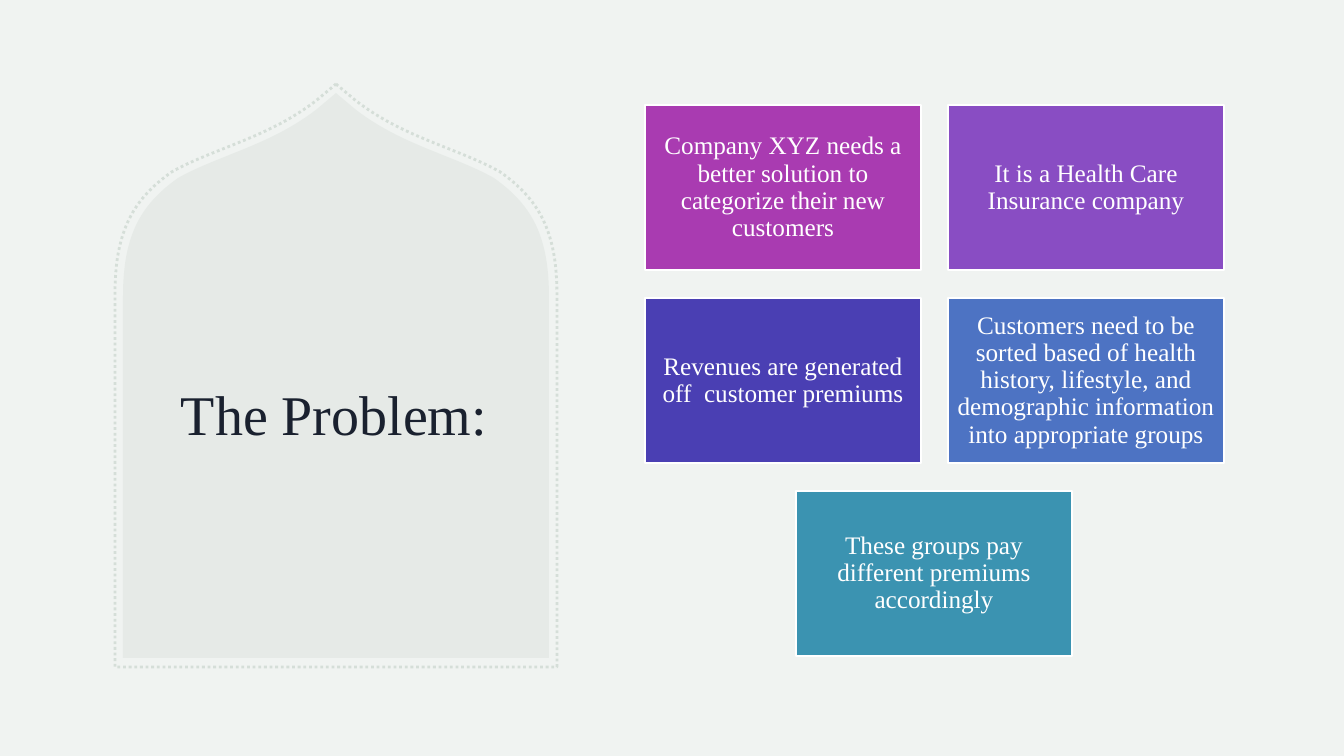
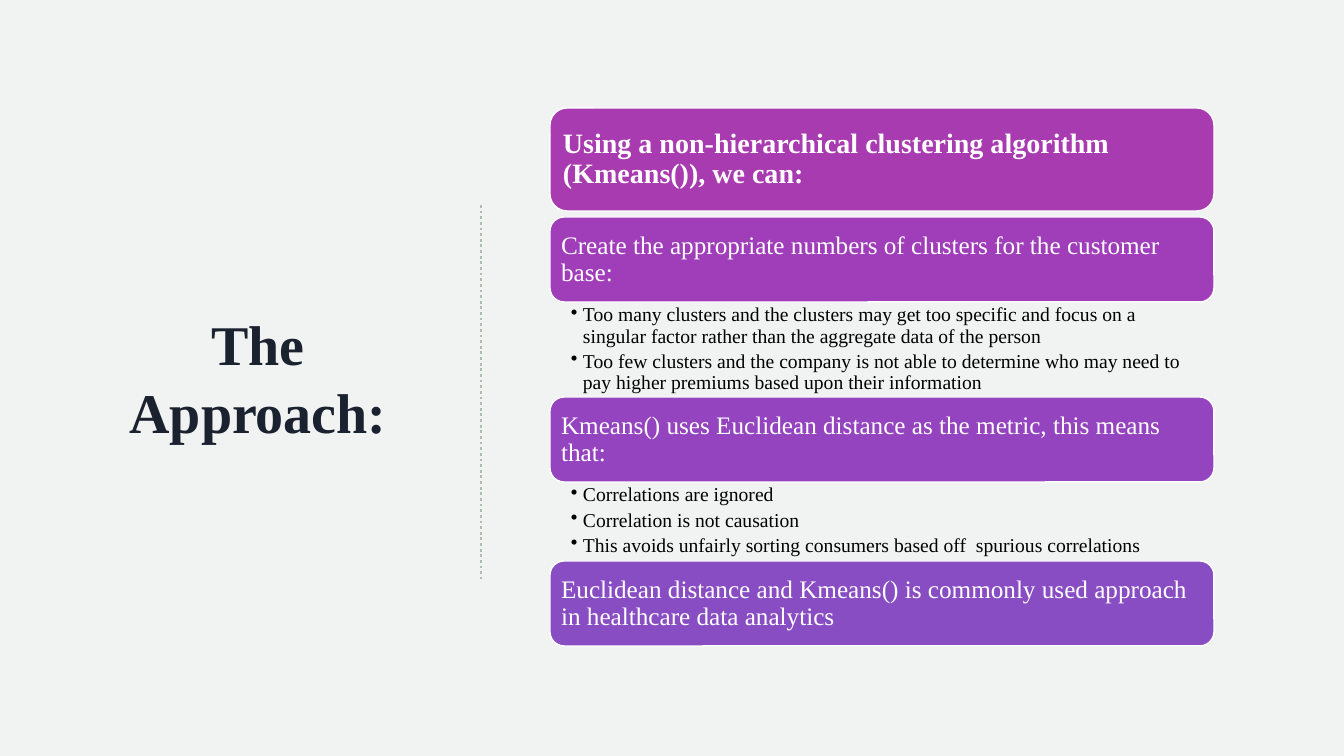
"""Build two slides: the customer grouping problem and the clustering approach."""
from dataclasses import dataclass
from typing import NamedTuple

from lxml import etree
from pptx import Presentation
from pptx.dml.color import RGBColor
from pptx.enum.dml import MSO_LINE
from pptx.enum.shapes import MSO_CONNECTOR, MSO_SHAPE
from pptx.enum.text import MSO_ANCHOR, MSO_AUTO_SIZE, PP_ALIGN
from pptx.oxml.ns import qn
from pptx.util import Emu, Pt

CENTER, LEFT = PP_ALIGN.CENTER, PP_ALIGN.LEFT
MIDDLE, TOP = MSO_ANCHOR.MIDDLE, MSO_ANCHOR.TOP
NO_FIT = MSO_AUTO_SIZE.NONE
RECT, ROUND_RECT = MSO_SHAPE.RECTANGLE, MSO_SHAPE.ROUNDED_RECTANGLE
STRAIGHT = MSO_CONNECTOR.STRAIGHT
DOTS = MSO_LINE.ROUND_DOT

SLIDE_W, SLIDE_H = 1344, 756
EMU_PER_PX = 12192000 / SLIDE_W
FONT = "Times New Roman"
COLORS = {
    "background": "F0F3F1",
    "sage": "ADBDB2",
    "pale_sage": "D5DED8",
    "ink": "1A212F",
    "black": "000000",
    "white": "FFFFFF",
    "magenta": "A93BB1",
    "orchid": "A03EBA",
    "plum": "9544C0",
    "violet": "894DC3",
    "indigo": "4A3FB3",
    "blue": "4D73C3",
    "teal": "3B93B1",
}


class Box(NamedTuple):
    """A rectangle in px."""
    left: int
    top: int
    width: int
    height: int


class Insets(NamedTuple):
    """Text margins in px."""
    left: int
    top: int
    right: int
    bottom: int


@dataclass(frozen=True)
class Card:
    """A coloured box with one statement."""
    text: str
    color: str


@dataclass(frozen=True)
class Panel:
    """A full-width bar and the bullets listed below it."""
    text: str
    color: str
    top: int
    height: int = 85
    size: int = 18
    bold: bool = False
    inset: int = 7
    bullets: tuple[str, ...] = ()
    list_height: int = 0


CARDS = (
    Card("Company XYZ needs a better solution to categorize their new customers", "magenta"),
    Card("It is a Health Care Insurance company", "violet"),
    Card("Revenues are generated off  customer premiums", "indigo"),
    Card("Customers need to be sorted based of health history, lifestyle, "
         "and demographic information into appropriate groups", "blue"),
    Card("These groups pay different premiums accordingly", "teal"),
)
CARD_GRID = Box(645, 105, 276, 165)
CARD_GAP = 27
CARD_COLUMNS = 2

PANELS = (
    Panel("Using a non-hierarchical clustering algorithm (Kmeans()), we can:", "magenta",
          108, height=103, size=20, bold=True, inset=8),
    Panel("Create the appropriate numbers of clusters for the customer base:", "orchid", 217,
          bullets=(
              "Too many clusters and the clusters may get too specific and focus on a "
              "singular factor rather than the aggregate data of the person",
              "Too few clusters and the company is not able to determine who may need to "
              "pay higher premiums based upon their information",
          ), list_height=95),
    Panel("Kmeans() uses Euclidean distance as the metric, this means that:", "plum", 397,
          bullets=(
              "Correlations are ignored",
              "Correlation is not causation",
              "This avoids unfairly sorting consumers based off  spurious correlations",
          ), list_height=78),
    Panel("Euclidean distance and Kmeans() is commonly used approach in healthcare data analytics",
          "violet", 561),
)
PANEL_LEFT, PANEL_WIDTH = 550, 664
LIST_INSETS = Insets(21, 3, 14, 3)
BULLET_INDENT = 12

ARCH_HALF_WIDTH, ARCH_HEIGHT = 213, 565
ARCH_SHOULDER = (19, 16)
ARCH_CURVES = (
    ((65, 52), (117, 62), (158, 85)),
    ((196, 112), (213, 143), (213, 204)),
)
CURVE_STEPS = 24


def px(value: float) -> Emu:
    """Turn px into EMU."""
    return Emu(round(value * EMU_PER_PX))


def rgb(name: str) -> RGBColor:
    """Look up a palette colour."""
    return RGBColor.from_string(COLORS[name])


def place(box: Box) -> tuple[Emu, ...]:
    """Turn a box into EMU lengths."""
    return tuple(px(v) for v in box)


def style_line(line, color: str, width: float, dash=None) -> None:
    """Set the colour, width and dash of a line."""
    line.color.rgb = rgb(color)
    line.width = Pt(width)
    if dash is not None:
        line.dash_style = dash


def style_frame(tf, insets: Insets, anchor) -> None:
    """Set wrapping, margins and anchor of a text frame."""
    tf.word_wrap = True
    tf.auto_size = NO_FIT
    tf.vertical_anchor = anchor
    tf.margin_left, tf.margin_top, tf.margin_right, tf.margin_bottom = place(insets)


def style_paragraph(p, size: int, color: str, align, bold: bool = False) -> None:
    """Set the font and alignment of a paragraph."""
    p.alignment = align
    p.font.name = FONT
    p.font.size = Pt(size)
    p.font.bold = bold
    p.font.color.rgb = rgb(color)


def add_title(slide, text: str, box: Box, bold: bool = False) -> None:
    """Place the title in front of the shapes drawn so far."""
    title = slide.shapes.title
    title.left, title.top, title.width, title.height = place(box)
    tf = title.text_frame
    tf.text = text
    style_frame(tf, Insets(10, 5, 10, 5), MIDDLE)
    style_paragraph(tf.paragraphs[0], 40, "ink", CENTER, bold)
    slide.shapes.element.append(title.element)


def add_block(slide, kind, box: Box, text: str, color: str, size: int = 18,
              align=CENTER, bold: bool = False, inset: int = 7) -> None:
    """Draw a filled, white-edged shape with text."""
    sp = slide.shapes.add_shape(kind, *place(box))
    sp.shadow.inherit = False
    sp.fill.solid()
    sp.fill.fore_color.rgb = rgb(color)
    style_line(sp.line, "white", 1)
    tf = sp.text_frame
    tf.text = text
    style_frame(tf, Insets(*[inset] * 4), MIDDLE)
    p = tf.paragraphs[0]
    style_paragraph(p, size, "white", align, bold)
    p.line_spacing = 0.9


def add_bullets(slide, box: Box, items: tuple[str, ...]) -> None:
    """Draw a bulleted list."""
    tf = slide.shapes.add_textbox(*place(box)).text_frame
    style_frame(tf, LIST_INSETS, TOP)
    tf.text = "\n".join(items)
    for p in tf.paragraphs:
        style_paragraph(p, 14, "black", LEFT)
        p.level = 1
        p.line_spacing = 0.9
        p.space_after = Pt(3)
        props = p._p.get_or_add_pPr()
        props.set("marL", str(px(BULLET_INDENT)))
        props.set("indent", str(-px(BULLET_INDENT)))
        bullet = etree.SubElement(props, qn("a:buChar"), char="•")
        props.find(qn("a:defRPr")).addprevious(bullet)


def bezier(start, c1, c2, end) -> list[tuple[float, float]]:
    """List the points of a cubic curve after its start."""
    points = []
    for step in range(1, CURVE_STEPS + 1):
        t = step / CURVE_STEPS
        u = 1 - t
        weights = (u ** 3, 3 * u * u * t, 3 * u * t * t, t ** 3)
        corners = (start, c1, c2, end)
        points.append(tuple(sum(w * c[i] for w, c in zip(weights, corners)) for i in (0, 1)))
    return points


def add_arch(slide, box: Box):
    """Draw a symmetric pointed arch that fills a box."""
    half = [ARCH_SHOULDER]
    for curve in ARCH_CURVES:
        half += bezier(half[-1], *curve)
    half.append((ARCH_HALF_WIDTH, ARCH_HEIGHT))
    outline = [(0, 0)] + half + [(-x, y) for x, y in reversed(half)]
    middle = box.left + box.width / 2
    x_scale = box.width / (2 * ARCH_HALF_WIDTH)
    y_scale = box.height / ARCH_HEIGHT
    points = [(px(middle + x * x_scale), px(box.top + y * y_scale)) for x, y in outline]
    builder = slide.shapes.build_freeform(*points[0])
    builder.add_line_segments(points[1:], close=True)
    sp = builder.convert_to_shape()
    sp.shadow.inherit = False
    return sp


def add_slide(prs):
    """Add a title-only slide with the shared background."""
    slide = prs.slides.add_slide(prs.slide_layouts[5])
    fill = slide.background.fill
    fill.solid()
    fill.fore_color.rgb = rgb("background")
    return slide


def build_problem(prs) -> None:
    """Build the slide with the arch and the card grid."""
    slide = add_slide(prs)
    arch = add_arch(slide, Box(123, 93, 426, 565))
    arch.fill.solid()
    arch.fill.fore_color.rgb = rgb("sage")
    color = arch.element.spPr.find(f"{qn('a:solidFill')}/{qn('a:srgbClr')}")
    etree.SubElement(color, qn("a:alpha"), val="15000")
    arch.line.fill.background()
    border = add_arch(slide, Box(115, 84, 442, 583))
    border.fill.background()
    style_line(border.line, "pale_sage", 2, DOTS)
    add_title(slide, "The Problem:", Box(162, 254, 344, 318))

    left, top, width, height = CARD_GRID
    for i, card in enumerate(CARDS):
        row, column = divmod(i, CARD_COLUMNS)
        in_row = min(CARD_COLUMNS, len(CARDS) - row * CARD_COLUMNS)
        shift = column + (CARD_COLUMNS - in_row) / 2
        box = Box(round(left + shift * (width + CARD_GAP)),
                  top + row * (height + CARD_GAP + 1), width, height)
        add_block(slide, RECT, box, card.text, card.color)


def build_approach(prs) -> None:
    """Build the slide with the divider and the panels."""
    slide = add_slide(prs)
    add_title(slide, "The Approach:", Box(105, 174, 306, 406), bold=True)
    divider = slide.shapes.add_connector(STRAIGHT, px(481), px(205), px(481), px(579))
    style_line(divider.line, "sage", 2, DOTS)
    etree.SubElement(divider.element.spPr, qn("a:effectLst"))
    for panel in PANELS:
        box = Box(PANEL_LEFT, panel.top, PANEL_WIDTH, panel.height)
        add_block(slide, ROUND_RECT, box, panel.text, panel.color, panel.size,
                  LEFT, panel.bold, panel.inset)
        if panel.bullets:
            below = box._replace(top=box.top + box.height, height=panel.list_height)
            add_bullets(slide, below, panel.bullets)


def main() -> None:
    """Build and save the presentation."""
    prs = Presentation()
    prs.slide_width, prs.slide_height = px(SLIDE_W), px(SLIDE_H)
    build_problem(prs)
    build_approach(prs)
    prs.save("out.pptx")


if __name__ == "__main__":
    main()
